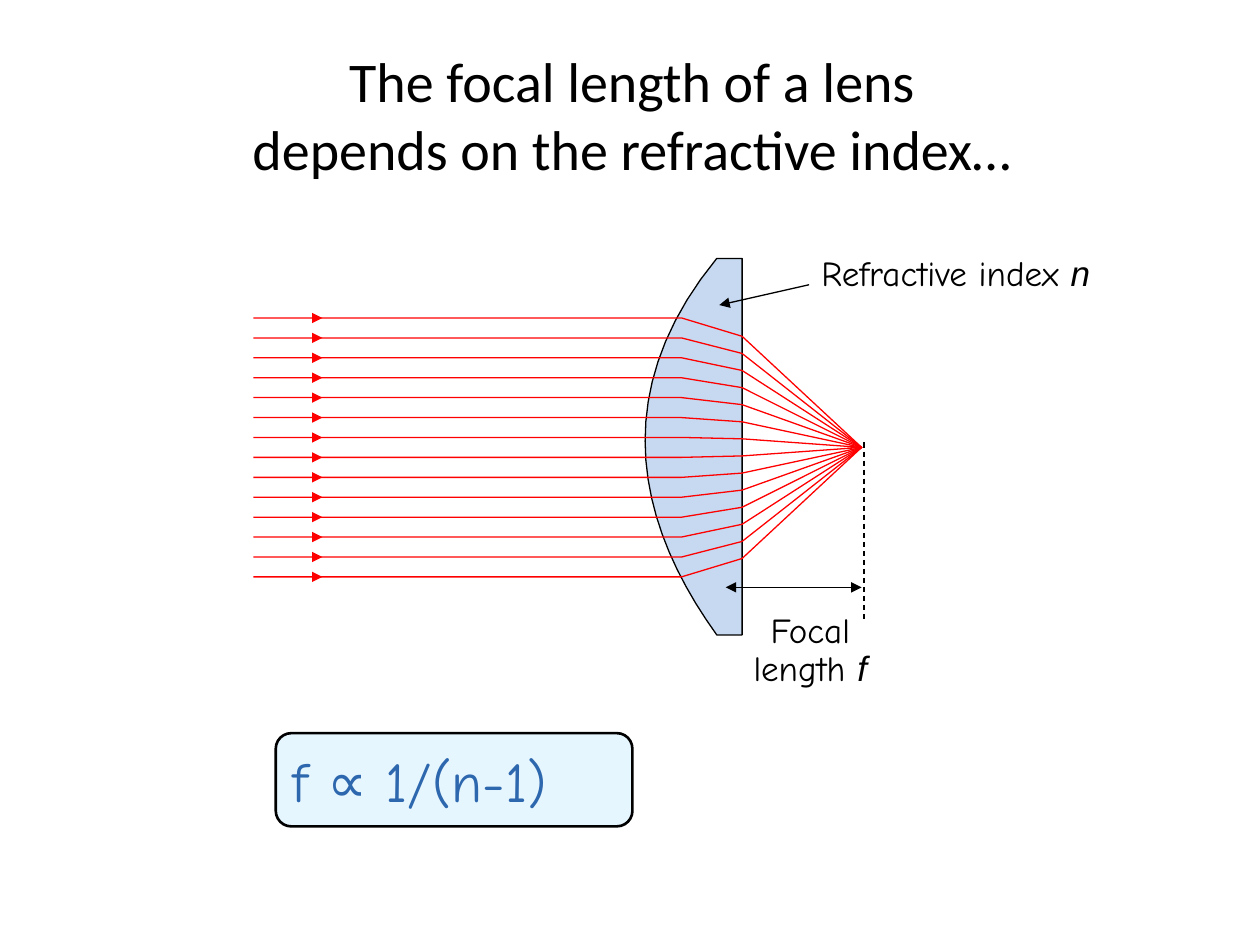
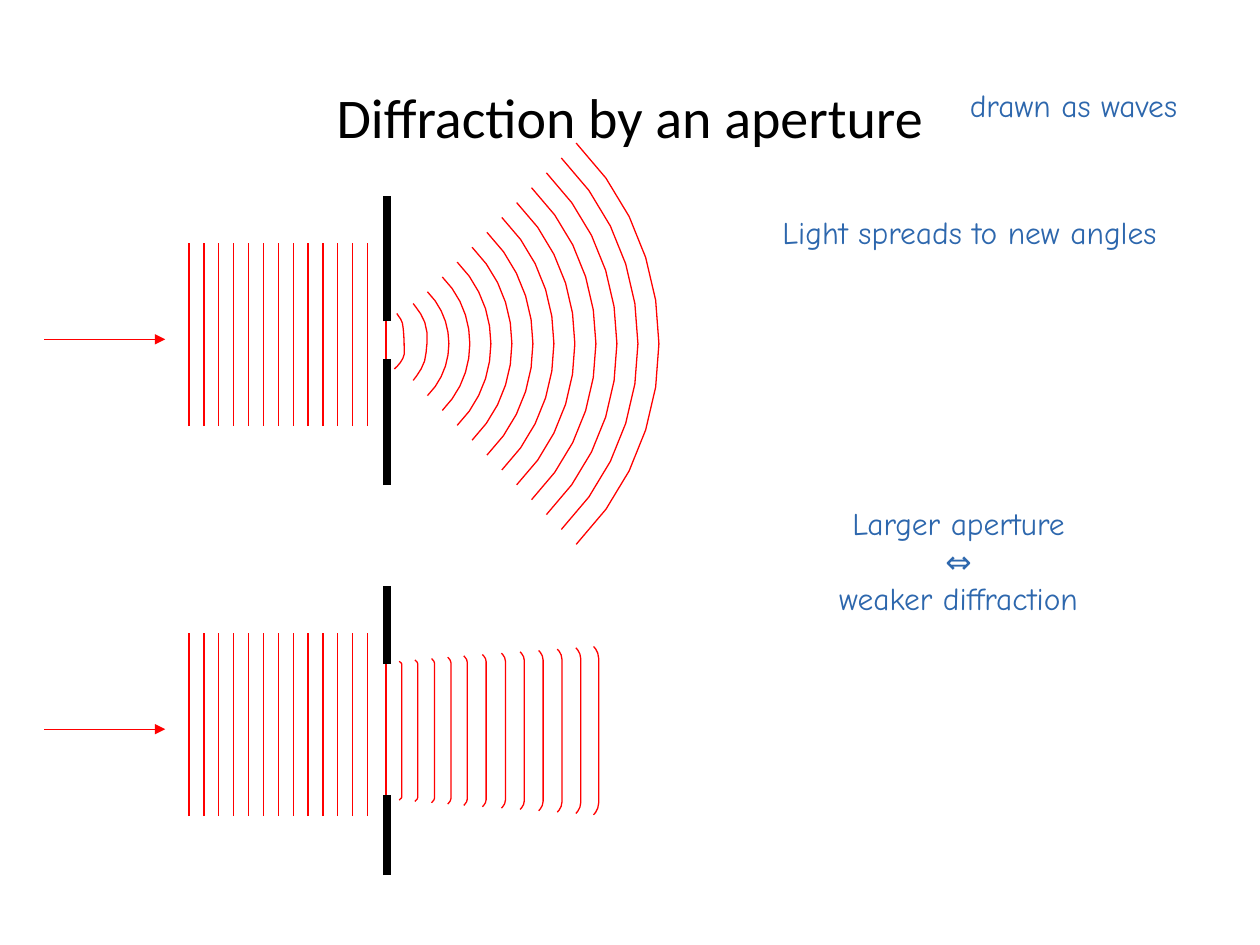
import math
import lxml.etree
import pptx
import pptx.util
import pptx.dml.color
import pptx.enum.dml
import pptx.enum.shapes
import pptx.enum.text
import pptx.oxml.ns

Cm, Pt = pptx.util.Cm, pptx.util.Pt
qn = pptx.oxml.ns.qn
ALIGN = pptx.enum.text.PP_ALIGN
ANCHOR = pptx.enum.text.MSO_ANCHOR
FIT = pptx.enum.text.MSO_AUTO_SIZE
HUES = {"ink": "000000", "ray": "FF0000", "glass": "C6D9F0",
        "pale": "E6F6FF", "note": "2D67AD"}
RGB = {name: pptx.dml.color.RGBColor.from_string(code) for name, code in HUES.items()}


def line(host, ends, hue="ray", wide=0.75, tips=(), dash=None):
    """Draw a straight line; tips names the ends, head or tail, with an arrow."""
    link = host.shapes.add_connector(
        pptx.enum.shapes.MSO_CONNECTOR.STRAIGHT, *[Cm(v) for v in ends])
    link.line.color.rgb = RGB[hue]
    link.line.width = Pt(wide)
    if dash:
        link.line.dash_style = dash
    props = link.element.spPr
    for tip in tips:
        lxml.etree.SubElement(props.find(qn("a:ln")), qn(f"a:{tip}End"), type="triangle")
    lxml.etree.SubElement(props, qn("a:effectLst"))


def trace(host, start, steps, hue="ray", fill=None, cuts=4):
    """Draw an outline; a step of two numbers is a line, of six a cubic curve in cuts pieces."""
    spots = [start]
    for step in steps:
        if len(step) == 2:
            spots.append(step)
            continue
        knots = [spots[-1], step[:2], step[2:4], step[4:]]
        for t in [n / cuts for n in range(1, cuts + 1)]:
            parts = ((1 - t) ** 3, 3 * t * (1 - t) ** 2, 3 * t * t * (1 - t), t ** 3)
            spots.append([sum(p * k[axis] for p, k in zip(parts, knots)) for axis in (0, 1)])
    spots = [(Cm(x), Cm(y)) for x, y in spots]
    pen = host.shapes.build_freeform(*spots[0], scale=1.0)
    pen.add_line_segments(spots[1:], close=fill is not None)
    shape = pen.convert_to_shape()
    shape.shadow.inherit = False
    shape.line.color.rgb = RGB[hue]
    shape.line.width = Pt(0.75)
    if fill:
        shape.fill.solid()
        shape.fill.fore_color.rgb = RGB[fill]
    else:
        shape.fill.background()
    return shape


deck = pptx.Presentation()
deck.slide_width, deck.slide_height = Cm(25.4), Cm(19.05)

# Titles
heads = [("The focal length of a lens\vdepends on the refractive index…", (1.91, 0.46, 21.67, 3.68)),
         ("Diffraction by an aperture", (1.27, 0.76, 22.86, 3.18))]
for words, place in heads:
    title = deck.slides.add_slide(deck.slide_layouts[5]).shapes.title
    for side, size in zip(("left", "top", "width", "height"), place):
        setattr(title, side, Cm(size))
    frame = title.text_frame
    frame.text = words
    frame.vertical_anchor = ANCHOR.MIDDLE
    frame.auto_size = FIT.NONE
    para = frame.paragraphs[0]
    para.alignment = ALIGN.CENTER
    for run in para.runs:
        for key, value in {"name": "Calibri", "size": Pt(32)}.items():
            setattr(run.font, key, value)
        run.font.color.rgb = RGB["ink"]
lens, waves = deck.slides

# Lens and the rays through it
trace(lens, (14.45, 12.8),
      [(14.96, 12.8), (14.96, 5.21), (14.45, 5.21), (12.14, 8.03, 12.95, 10.72, 14.45, 12.8)],
      hue="ink", fill="glass", cuts=20)
rays = lens.shapes.add_group_shape()
axis = 9.02
for step in range(13, 0, -2):
    enter, leave = 2.61 * step / 13, 2.24 * step / 13
    trace(rays, (5.11, axis + enter),
          [(13.74, axis + enter), (14.96, axis + leave), (17.37, axis),
           (14.96, axis - leave), (13.74, axis - enter), (5.11, axis - enter)])
    for y in (axis - enter, axis + enter):
        line(rays, (6.3, y, 6.5, y), tips=["tail"])
line(lens, (14.63, 11.84, 17.37, 11.84), "ink", tips=["head", "tail"])
line(lens, (17.42, 8.92, 17.42, 12.52), "ink", dash=pptx.enum.dml.MSO_LINE.DASH)
line(lens, (16.31, 5.74, 14.5, 6.15), "ink", tips=["tail"])

# Formula
plate = lens.shapes.add_shape(pptx.enum.shapes.MSO_SHAPE.ROUNDED_RECTANGLE,
                              Cm(5.56), Cm(14.78), Cm(7.19), Cm(1.88))
plate.shadow.inherit = False
plate.fill.solid()
plate.fill.fore_color.rgb = RGB["pale"]
plate.line.color.rgb = RGB["ink"]
plate.line.width = Pt(1.5)

# Both apertures: incoming waves, slit and walls
narrow, broad = [waves.shapes.add_group_shape() for n in range(2)]
for scene, drop, upper, lower in [(narrow, 0, 6.48, 7.24), (broad, 7.86, 13.39, 16.03)]:
    line(scene, (0.89, 6.84 + drop, 3.33, 6.84 + drop), tips=["tail"])
    for n in range(13):
        x = 3.81 + 0.3 * n
        line(scene, (x, 8.59 + drop, x, 4.9 + drop))
    line(scene, (7.78, lower, 7.78, upper))
    line(scene, (7.81, upper, 7.81, 3.96 + drop), "ink", 4.5)
    line(scene, (7.81, 9.78 + drop, 7.81, lower), "ink", 4.5)

# Narrow slit: quarter circles turned to face right
for n in range(11):
    size = 1.48 + 0.424 * n
    left = 7.57 + size * math.sqrt(0.5) - size / 2
    top = 6.93 - size / 2
    bend = 0.55 * size
    arc = trace(narrow, (left, top),
                [(left + bend, top, left + size, top + size - bend, left + size, top + size)],
                cuts=10)
    arc.rotation = 45
trace(narrow, (8.33, 6.12), [(8.38, 6.2, 8.59, 6.4, 8.61, 6.71),
                             (8.61, 7.01, 8.61, 6.88, 8.59, 7.11),
                             (8.59, 7.34, 8.41, 7.57, 8.33, 7.67)])
trace(narrow, (8, 6.32), [(8.03, 6.38, 8.13, 6.45, 8.13, 6.63),
                          (8.15, 6.81, 8.15, 7.01, 8.15, 7.14),
                          (8.13, 7.26, 8.03, 7.37, 7.95, 7.44)])

# Wide slit: nearly flat waves with hooked ends
crests = [8.1, 8.42, 8.76, 9.09, 9.42, 9.8, 10.19, 10.57, 10.95, 11.33, 11.71, 12.07]
mid = 14.73
for n, x in enumerate(crests):
    tall, flat, hook = 1.4 + 0.027 * n, 1.34 + 0.01 * n, 0.05 + 0.005 * n
    tip, bend = x - hook, (tall + flat) / 2
    trace(broad, (tip, mid - tall),
          [(tip + hook / 3, mid - tall + 0.03, x, mid - bend, x, mid - flat),
           (x, mid + flat),
           (x, mid + bend, tip + hook / 3, mid + tall - 0.03, tip, mid + tall)],
          cuts=3)

# Labels: place, paragraphs, closing symbol, size, hue, alignment, wrap, spacing
labels = [
    (lens, (14.66, 12.24, 3.35, 2.03), ["Focal length "], "f", 20, "ink", ALIGN.CENTER, True, 0.9),
    (lens, (16.31, 4.95, 6.5, 1.14), ["Refractive index "], "n", 20, "ink", ALIGN.LEFT, False, 1.0),
    (lens, None, ["f ∝ 1/(n-1)"], "", 32, "note", ALIGN.LEFT, True, 1.0),
    (waves, (16.38, 10.03, 5.89, 2.62), ["Larger aperture", "⇔", "weaker diffraction"], "",
     18, "note", ALIGN.CENTER, False, 1.0),
    (waves, (15.19, 4.17, 8.71, 1.07), ["Light spreads to new angles"], "",
     18, "note", ALIGN.CENTER, False, 1.0),
    (waves, (19.3, 1.6, 5.08, 1.07), ["drawn as waves"], "", 18, "note", ALIGN.LEFT, False, 1.0),
]
for slide, place, texts, sign, size, hue, align, wrap, gap in labels:
    box = slide.shapes.add_textbox(*[Cm(v) for v in place]) if place else plate
    frame = box.text_frame
    frame.word_wrap = wrap
    frame.auto_size = FIT.NONE if wrap else FIT.SHAPE_TO_FIT_TEXT
    for n, text in enumerate(texts):
        para = frame.add_paragraph() if n else frame.paragraphs[0]
        for key, value in {"alignment": align, "line_spacing": gap}.items():
            setattr(para, key, value)
        for words, face in [(text, "Comic Neue"), (sign, "Arial")]:
            if words:
                run = para.add_run()
                run.text = words
                looks = {"name": face, "size": Pt(size), "italic": face == "Arial"}
                for key, value in looks.items():
                    setattr(run.font, key, value)
                run.font.color.rgb = RGB[hue]

deck.save("out.pptx")
